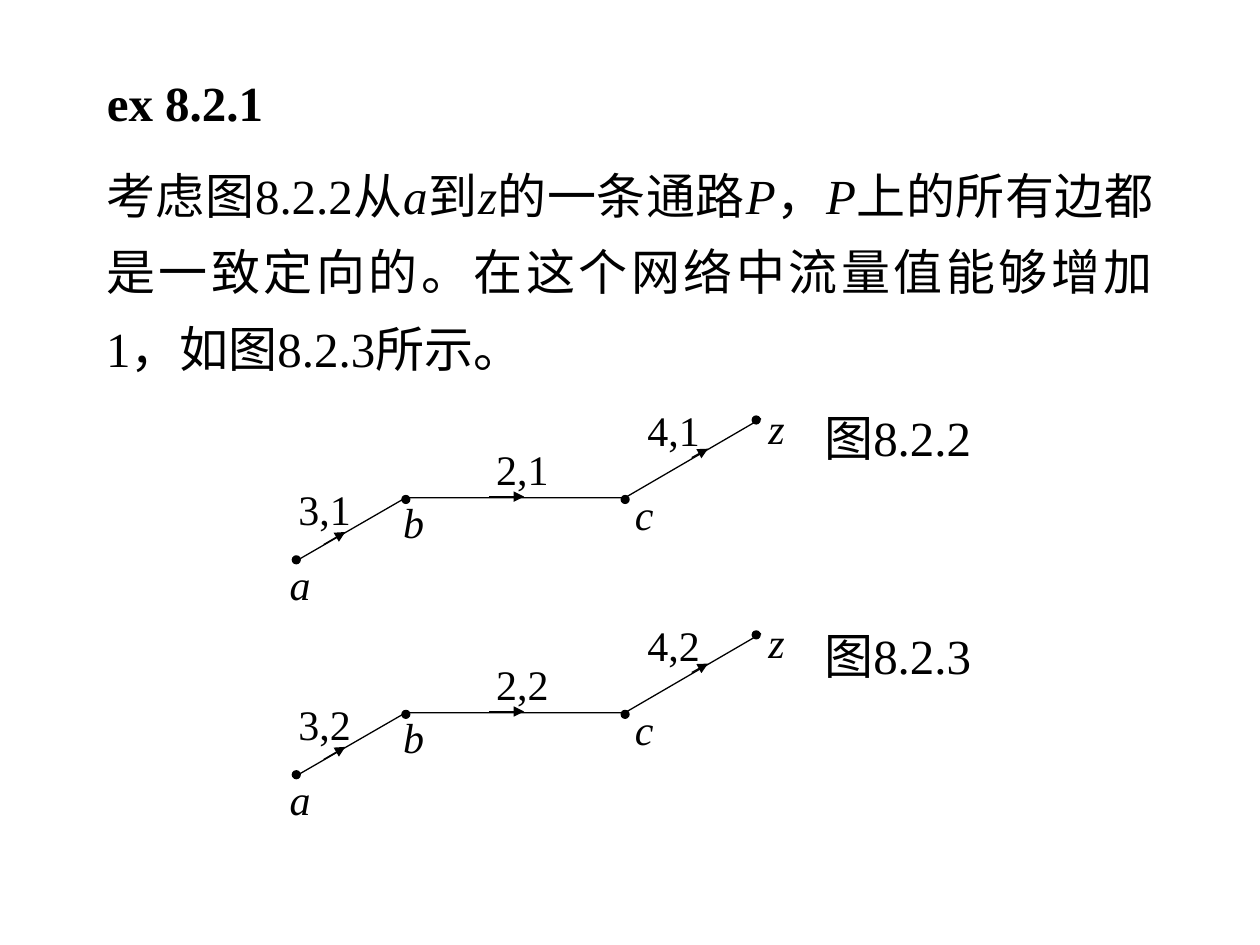
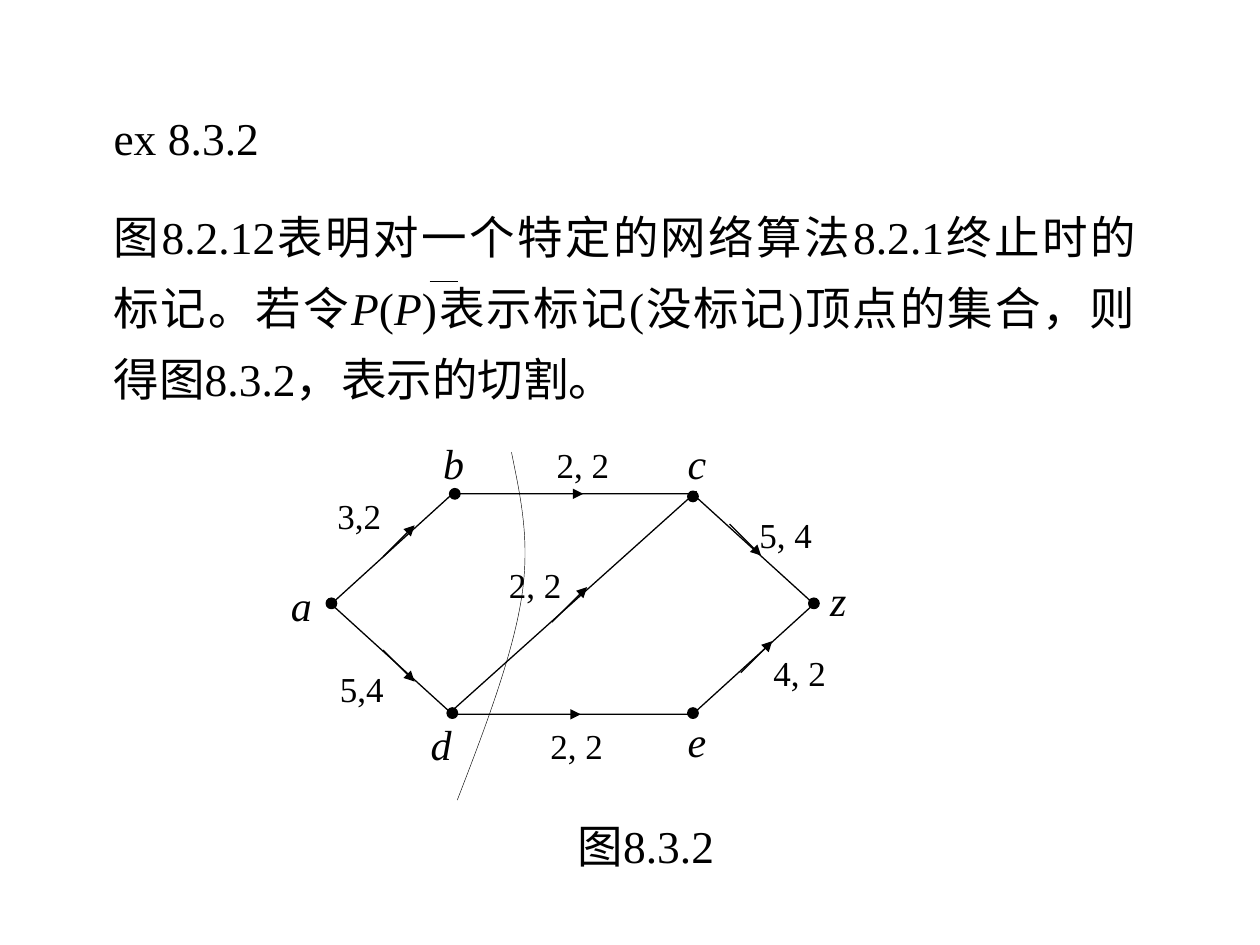
"""Build two slides of network flow examples with labelled graphs."""
from lxml import etree
from pptx import Presentation
from pptx.dml.color import RGBColor
from pptx.enum.shapes import MSO_CONNECTOR, MSO_SHAPE
from pptx.enum.text import MSO_AUTO_SIZE, PP_ALIGN
from pptx.oxml.ns import qn
from pptx.util import Pt

STRAIGHT = MSO_CONNECTOR.STRAIGHT
OVAL = MSO_SHAPE.OVAL
HEXAGON = MSO_SHAPE.HEXAGON
FIT_SHAPE = MSO_AUTO_SIZE.SHAPE_TO_FIT_TEXT
LEFT = PP_ALIGN.LEFT
JUSTIFY = PP_ALIGN.JUSTIFY

INK = RGBColor(0, 0, 0)
FONT = "Times New Roman"
STROKE = 0.75
HAIRLINE = 0.25
VERTEX_SIZE = 24
FLOW_WIDTH = 50


def add_text(shapes, text, left, top, width, height, *, size, bold=False,
             wrap=False, align=LEFT, leading=None, gap=0):
    """Write paragraphs split at line ends, with italics between asterisks."""
    box = shapes.add_textbox(Pt(left), Pt(top), Pt(width), Pt(height))
    frame = box.text_frame
    frame.word_wrap = wrap
    frame.auto_size = FIT_SHAPE
    for number, line in enumerate(text.split("\n")):
        paragraph = frame.add_paragraph() if number else frame.paragraphs[0]
        paragraph.alignment = align
        paragraph.line_spacing = leading
        paragraph._p.get_or_add_pPr().set("hangingPunct", "0")
        if number:
            paragraph.space_before = Pt(gap)
        for part, words in enumerate(line.split("*")):
            if words:
                run = paragraph.add_run()
                run.text = words
                run.font.name = FONT
                run.font.size = Pt(size)
                run.font.bold = bold
                run.font.italic = part % 2 == 1
                run.font.color.rgb = INK


def outline(shape, weight=STROKE):
    """Give a shape a thin line, with no fill or shadow."""
    shape.shadow.inherit = False
    shape.fill.background()
    shape.line.color.rgb = INK
    shape.line.width = Pt(weight)


def add_line(shapes, x1, y1, x2, y2, arrow=False, weight=STROKE):
    """Draw a straight line, with an arrowhead at its end if asked."""
    line = shapes.add_connector(STRAIGHT, Pt(x1), Pt(y1), Pt(x2), Pt(y2))
    line.line.color.rgb = INK
    line.line.width = Pt(weight)
    if arrow:
        etree.SubElement(line.line._get_or_add_ln(), qn("a:tailEnd"), type="triangle")
    etree.SubElement(line._element.spPr, qn("a:effectLst"))


def add_polyline(shapes, points, weight=STROKE):
    """Draw an open outline through the points."""
    start, *rest = [(Pt(x), Pt(y)) for x, y in points]
    builder = shapes.build_freeform(*start)
    builder.add_line_segments(rest, close=False)
    shape = builder.convert_to_shape()
    outline(shape, weight)
    return shape


def add_curve(shapes, points):
    """Draw cubic curves from a start point and groups of three points."""
    shape = add_polyline(shapes, points, HAIRLINE)
    curve_path = shape._element.find(".//" + qn("a:path"))
    segments = curve_path.findall(qn("a:lnTo"))
    for first in range(0, len(segments), 3):
        curve = etree.SubElement(curve_path, qn("a:cubicBezTo"))
        for segment in segments[first:first + 3]:
            curve.append(segment[0])
            curve_path.remove(segment)


def add_graph_parts(shapes, left, top, vertices, arrows, flows, dot, flow_size):
    """Place vertex dots, vertex names, edge arrows and flow labels."""
    for x1, y1, x2, y2 in arrows:
        add_line(shapes, left + x1, top + y1, left + x2, top + y2, arrow=True)
    for name, (x, y), (name_x, name_y, name_width) in vertices:
        vertex = shapes.add_shape(OVAL, Pt(left + x - dot / 2), Pt(top + y - dot / 2),
                                  Pt(dot), Pt(dot))
        outline(vertex)
        vertex.fill.solid()
        vertex.fill.fore_color.rgb = INK
        add_text(shapes, f"*{name}*", left + name_x, top + name_y, name_width, 36,
                 size=VERTEX_SIZE)
    for flow, x, y in flows:
        add_text(shapes, flow, left + x, top + y, FLOW_WIDTH, flow_size * 1.2 + 7.2,
                 size=flow_size)


def add_path_figure(slide, left, top, flows):
    """Draw the path from a to z with its flows."""
    shapes = slide.shapes.add_group_shape().shapes
    bends = [(12.2, 93.6), (73.4, 58.3), (198.7, 58.3), (276.5, 13)]
    add_polyline(shapes, [(left + x, top + y) for x, y in bends])
    vertices = [
        ("a", (10.9, 93.7), (0, 89.3, 26)),
        ("b", (73.5, 59.2), (64.8, 54, 26)),
        ("c", (198.8, 59.2), (197.3, 49.7, 25)),
        ("z", (273.7, 13.8), (273.6, 0, 24)),
    ]
    arrows = [
        (26.6, 85, 38.9, 77.8),
        (121, 57.6, 141.1, 57.6),
        (236.9, 35.3, 246.2, 30.2),
    ]
    places = [(5, 46.8), (118.1, 23.8), (204.5, 1.4)]
    labels = [(flow, x, y) for flow, (x, y) in zip(flows, places)]
    add_graph_parts(shapes, left, top, vertices, arrows, labels, dot=4.5, flow_size=24)


def add_cut_figure(slide, left, top):
    """Draw the six-vertex network, the cut through it and its caption."""
    shapes = slide.shapes.add_group_shape().shapes
    cut = [(133.2, 12.2), (138.2, 37.4), (144, 61.9), (139, 95),
           (133.9, 128.2), (118.1, 169.9), (102.2, 211)]
    add_curve(shapes, [(left + x, top + y) for x, y in cut])
    network = shapes.add_shape(HEXAGON, Pt(left + 30.2), Pt(top + 36), Pt(275.8), Pt(126))
    network.adjustments[0] = 0.55
    outline(network)
    add_line(shapes, left + 99.4, top + 159.8, left + 239, top + 34.6)
    vertices = [
        ("a", (30.3, 98.6), (0, 81.4, 26)),
        ("b", (100.8, 36), (87.1, 0.4, 26)),
        ("c", (236.9, 37.5), (226.8, 0.4, 25)),
        ("d", (99.4, 161.3), (79.9, 160.6, 26)),
        ("e", (236.9, 161.3), (226.8, 159.4, 25)),
        ("z", (306, 98.6), (308.2, 78.8, 29.5)),
    ]
    arrows = [
        (59.8, 72, 77.8, 54),
        (264.2, 138.2, 282.2, 120.2),
        (59.8, 125.3, 77.8, 143.3),
        (257.8, 53.3, 275.8, 71.3),
        (153.4, 162, 172.8, 162),
        (154.8, 36, 174.2, 36),
        (156.2, 109.4, 176.4, 89.3),
    ]
    flows = [
        ("2, 2", 151.9, 3.6),
        ("2, 2", 124.6, 72),
        ("2, 2", 148.3, 164.2),
        ("3,2", 26.6, 32.6),
        ("5, 4", 267.8, 43.9),
        ("4, 2", 275.8, 122.4),
        ("5,4", 28, 131.8),
    ]
    add_graph_parts(shapes, left, top, vertices, arrows, flows, dot=6, flow_size=20)
    add_text(slide.shapes, "图8.3.2", left + 163.8, top + 217.5, 98.6, 39, size=26)


def build_path_slide(slide):
    """Show how the flow along a path grows by one."""
    add_text(slide.shapes,
             "考虑图8.2.2从*a*到*z*的一条通路*P*，*P*上的所有边都是一致定向的。"
             "在这个网络中流量值能够增加1，如图8.2.3所示。",
             53.6, 81, 612.7, 138, size=28, wrap=True, align=JUSTIFY, leading=1.3)
    add_text(slide.shapes, "ex 8.2.1", 54, 37.8, 103.7, 41, size=28, bold=True)
    figures = [(("3,1", "2,1", "4,1"), "图8.2.2"), (("3,2", "2,2", "4,2"), "图8.2.3")]
    for row, (flows, caption) in enumerate(figures):
        add_path_figure(slide, 158.4, 226.2 + 122.8 * row, flows)
        add_text(slide.shapes, caption, 464, 229.2 + 124.6 * row, 105, 41, size=28)


def build_cut_slide(slide):
    """Show the cut found from the labelled vertices."""
    add_text(slide.shapes,
             "ex 8.3.2\n图8.2.12表明对一个特定的网络算法8.2.1终止时的标记。"
             "若令*P*(*P*)表示标记(没标记)顶点的集合，则得图8.3.2，表示的切割。",
             57.8, 49.7, 598.3, 185.8, size=26, wrap=True, align=JUSTIFY,
             leading=1.3, gap=16.2)
    add_line(slide.shapes, 245.5, 160.8, 262, 160.8, weight=HAIRLINE)
    add_cut_figure(slide, 159.1, 246.2)


def main():
    """Build the slides and save them."""
    deck = Presentation()
    deck.slide_width, deck.slide_height = Pt(720), Pt(540)
    for build in (build_path_slide, build_cut_slide):
        build(deck.slides.add_slide(deck.slide_layouts[6]))
    deck.save("out.pptx")


if __name__ == "__main__":
    main()
